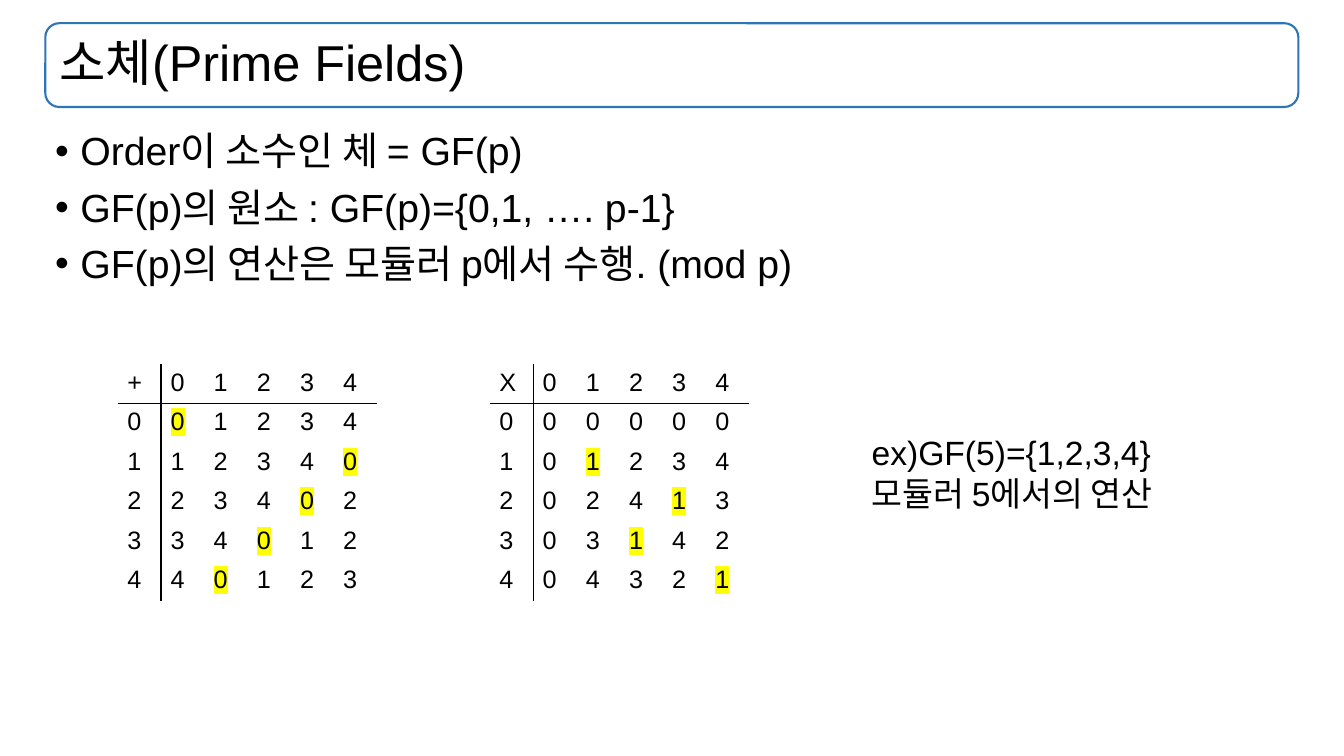
"""Build the slide on prime fields with the GF(5) operation tables."""
from dataclasses import dataclass
from typing import Any

from lxml import etree
from pptx import Presentation
from pptx import util as u
from pptx.dml import color
from pptx.enum import shapes, text
from pptx.oxml import ns

FONT = "Arial"
BLACK = "000000"
TITLE_BLUE = "2E75B6"
YELLOW = "FFFF00"
MARGIN_LEFT, CONTENT_WIDTH = 32.4, 895
COLUMN_WIDTH, ROW_HEIGHT = 30.85, 27.4
TABLE_TOP = 260


@dataclass(frozen=True)
class OperationTable:
    """An operation on GF(5), with one string of cells per row."""

    left: float
    rows: tuple[str, ...]
    identity: str


OPERATIONS = (
    OperationTable(84.2, ("+01234", "001234", "112340", "223402", "334012", "440123"), "0"),
    OperationTable(350, ("X01234", "000000", "101234", "202413", "303142", "404321"), "1"),
)
STATEMENTS = (
    "Order이 소수인 체 = GF(p)",
    "GF(p)의 원소 : GF(p)={0,1, …. p-1}",
    "GF(p)의 연산은 모듈러 p에서 수행. (mod p)",
)
EXAMPLE = ("ex)GF(5)={1,2,3,4}", "모듈러 5에서의 연산")


def rgb(value: str) -> color.RGBColor:
    """Return the colour for a hex string."""
    return color.RGBColor.from_string(value)


def write(frame: Any, content: str, *, size: float, first: bool = True,
          align: Any = None, spacing: float | None = None, before: float = 0,
          bullet: bool = False, highlight: str | None = None) -> None:
    """Write one formatted paragraph into a text frame."""
    paragraph = frame.paragraphs[0] if first else frame.add_paragraph()
    if bullet:
        properties = paragraph._p.get_or_add_pPr()
        properties.set("marL", str(u.Pt(18)))
        properties.set("indent", str(u.Pt(-18)))
        etree.SubElement(properties, ns.qn("a:buFont"), typeface=FONT)
        etree.SubElement(properties, ns.qn("a:buChar"), char="•")
    if align is not None:
        paragraph.alignment = align
    if spacing:
        paragraph.line_spacing = spacing
    if before and not first:
        paragraph.space_before = u.Pt(before)
    run = paragraph.add_run()
    run.text = content
    run.font.size = u.Pt(size)
    run.font.name = FONT
    run.font.color.rgb = rgb(BLACK)
    if highlight:
        marker = etree.Element(ns.qn("a:highlight"))
        etree.SubElement(marker, ns.qn("a:srgbClr"), val=highlight)
        run._r.get_or_add_rPr().find(ns.qn("a:solidFill")).addnext(marker)


def add_text_frame(slide: Any, left: float, top: float, width: float, height: float) -> Any:
    """Add a wrapping text box and return its text frame."""
    frame = slide.shapes.add_textbox(*map(u.Pt, (left, top, width, height))).text_frame
    frame.word_wrap = True
    return frame


def add_title(slide: Any, content: str) -> None:
    """Add the outlined title bar."""
    bar = slide.shapes.add_shape(
        shapes.MSO_SHAPE.ROUNDED_RECTANGLE,
        *map(u.Pt, (MARGIN_LEFT, 16.6, CONTENT_WIDTH, 59.8)))
    bar.shadow.inherit = False
    bar.fill.background()
    bar.line.color.rgb = rgb(TITLE_BLUE)
    bar.line.width = u.Pt(1.5)
    frame = bar.text_frame
    frame.word_wrap = True
    frame.vertical_anchor = text.MSO_ANCHOR.MIDDLE
    frame.margin_left = frame.margin_right = u.Pt(7.2)
    write(frame, content, size=36, align=text.PP_ALIGN.LEFT, spacing=0.9)


def set_borders(cell: Any, row: int, column: int) -> None:
    """Rule off the header row and header column around a cell."""
    ruled = {"L": column == 1, "R": column == 0, "T": row == 1, "B": row == 0}
    properties = cell._tc.get_or_add_tcPr()
    for side, visible in ruled.items():
        border = etree.SubElement(properties, ns.qn(f"a:ln{side}"), w=str(u.Pt(1)))
        if visible:
            fill = etree.SubElement(border, ns.qn("a:solidFill"))
            etree.SubElement(fill, ns.qn("a:srgbClr"), val=BLACK)
        else:
            etree.SubElement(border, ns.qn("a:noFill"))


def add_operation(slide: Any, operation: OperationTable) -> None:
    """Add an operation table and highlight the identity in its body."""
    count = len(operation.rows)
    table = slide.shapes.add_table(
        count, count, u.Pt(operation.left), u.Pt(TABLE_TOP),
        u.Pt(count * COLUMN_WIDTH), u.Pt(count * ROW_HEIGHT)).table
    table.first_row = table.horz_banding = False
    for column in table.columns:
        column.width = u.Pt(COLUMN_WIDTH)
    for row, symbols in enumerate(operation.rows):
        table.rows[row].height = u.Pt(ROW_HEIGHT)
        for column, symbol in enumerate(symbols):
            cell = table.cell(row, column)
            set_borders(cell, row, column)
            cell.fill.background()
            cell.margin_left = cell.margin_right = u.Pt(6.8)
            cell.margin_top = cell.margin_bottom = u.Pt(3.3)
            is_identity = row > 0 and column > 0 and symbol == operation.identity
            write(cell.text_frame, symbol, size=18, align=text.PP_ALIGN.JUSTIFY,
                  highlight=YELLOW if is_identity else None)


def main() -> None:
    """Create and save the presentation."""
    presentation = Presentation()
    presentation.slide_width, presentation.slide_height = u.Pt(960), u.Pt(540)
    slide = presentation.slides.add_slide(presentation.slide_layouts[6])
    add_title(slide, "소체(Prime Fields)")
    body = add_text_frame(slide, MARGIN_LEFT, 90.7, CONTENT_WIDTH, 398.2)
    for index, statement in enumerate(STATEMENTS):
        write(body, statement, size=28, first=index == 0, spacing=0.9, before=10, bullet=True)
    for operation in OPERATIONS:
        add_operation(slide, operation)
    example = add_text_frame(slide, 615.6, 305.3, 299.5, 94.3)
    for index, line in enumerate(EXAMPLE):
        write(example, line, size=24, first=index == 0)
    presentation.save("out.pptx")


if __name__ == "__main__":
    main()
